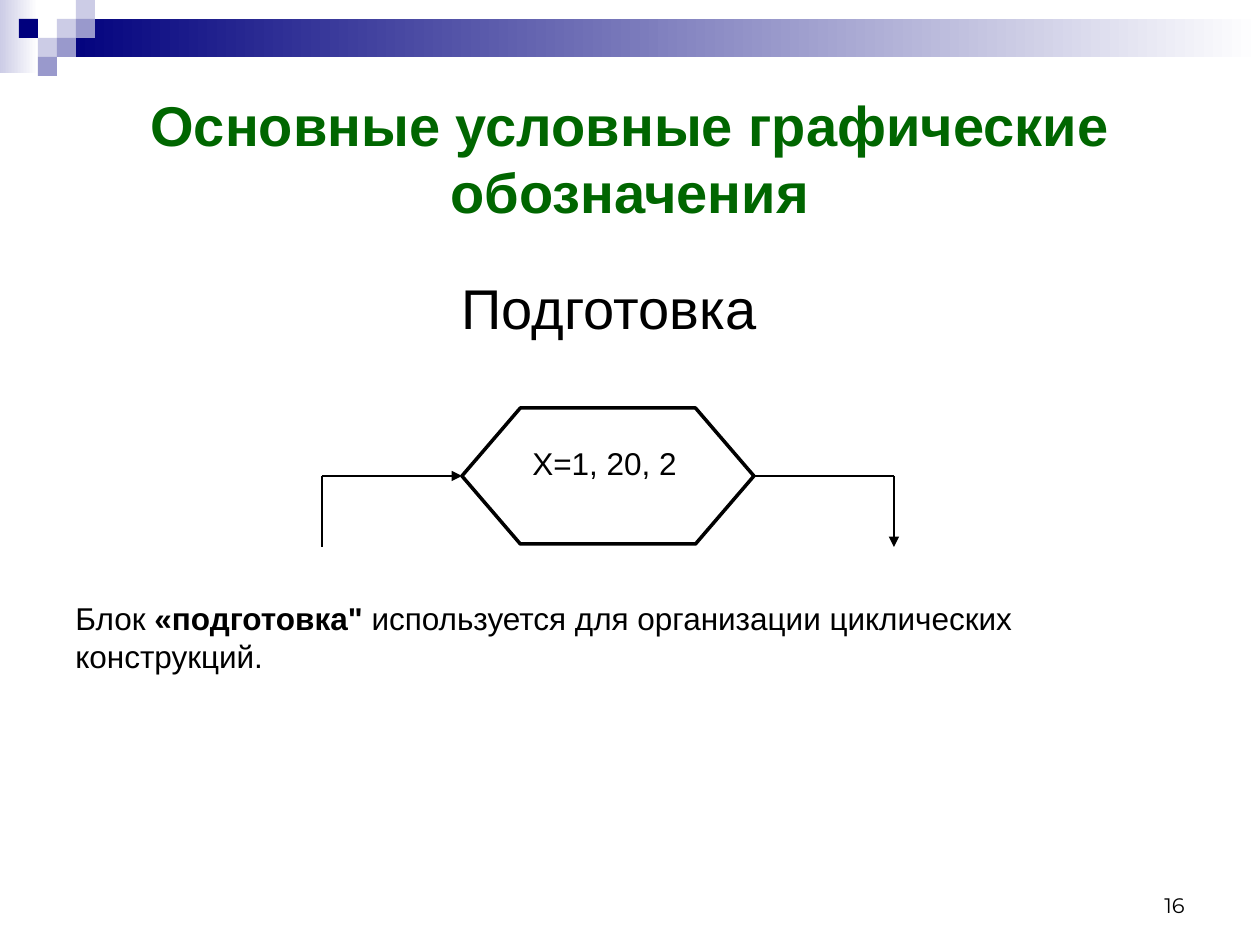
from lxml import etree
from pptx import Presentation
from pptx import util as u
from pptx.dml.color import RGBColor
from pptx.enum import shapes, text
from pptx.oxml import ns

SCALE = 914400 / 126
NAVY = RGBColor(0x00, 0x00, 0x7D)
LILAC = RGBColor(0x99, 0x99, 0xCC)
PALE = RGBColor(0xCC, 0xCC, 0xE6)
GREEN = RGBColor(0x00, 0x66, 0x00)
BLACK = RGBColor(0, 0, 0)
WHITE = RGBColor(0xFF, 0xFF, 0xFF)


def px(n):
    return u.Emu(round(n * SCALE))


def add_text(slide, box, runs, size, color=BLACK, font="Arial",
             align=text.PP_ALIGN.LEFT, anchor=text.MSO_ANCHOR.TOP):
    frame = slide.shapes.add_textbox(*map(px, box)).text_frame
    frame.word_wrap = True
    frame.vertical_anchor = anchor
    paragraph = frame.paragraphs[0]
    paragraph.alignment = align
    for words, bold in runs:
        run = paragraph.add_run()
        run.text = words
        run.font.name = font
        run.font.size = u.Pt(size)
        run.font.bold = bold
        run.font.color.rgb = color


def add_block(slide, box, color, fade=False):
    block = slide.shapes.add_shape(shapes.MSO_SHAPE.RECTANGLE, *map(px, box))
    block.shadow.inherit = False
    block.line.fill.background()
    if fade:
        block.fill.gradient()
        block.fill.gradient_angle = 0
        for stop, shade in zip(block.fill.gradient_stops, (color, WHITE)):
            stop.color.rgb = shade
    else:
        block.fill.solid()
        block.fill.fore_color.rgb = color


def add_line(slide, start, end, arrow=False):
    line = slide.shapes.add_connector(
        shapes.MSO_CONNECTOR.STRAIGHT, *map(px, start + end))
    line.line.color.rgb = BLACK
    line.line.width = u.Pt(1.5)
    if arrow:
        etree.SubElement(line.line._get_or_add_ln(), ns.qn("a:tailEnd"), type="triangle")
    etree.SubElement(line._element.spPr, ns.qn("a:effectLst"))
    return line


def draw_banner(slide, box):
    left, top, width, height = box
    cell = 19
    add_block(slide, (left, top, 2 * cell, height - 2), PALE, fade=True)
    add_block(slide, (left + 3 * cell, top + cell, width - 3 * cell, 2 * cell), NAVY, fade=True)
    checks = [(3, 1, PALE), (4, 0, PALE), (4, 1, LILAC), (2, 2, PALE),
              (1, 1, NAVY), (3, 2, LILAC), (2, 3, LILAC)]
    for column, row, color in checks:
        add_block(slide, (left + column * cell, top + row * cell, cell, cell), color)


def draw_heading(slide, box):
    add_text(slide, box, [("Основные условные графические обозначения", True)], 32, GREEN,
             align=text.PP_ALIGN.CENTER, anchor=text.MSO_ANCHOR.MIDDLE)


def draw_subheading(slide, box):
    add_text(slide, box, [("Подготовка", False)], 32, align=text.PP_ALIGN.CENTER)


def draw_flowchart(slide, box):
    left, top, width, height = box
    right, bottom, middle = left + width, top + height, top + 68
    arm = 140
    preparation = slide.shapes.add_shape(
        shapes.MSO_SHAPE.FLOWCHART_PREPARATION,
        *map(px, (left + arm, top, width - 2 * arm, 136)))
    preparation.shadow.inherit = False
    preparation.fill.solid()
    preparation.fill.fore_color.rgb = WHITE
    preparation.line.color.rgb = BLACK
    preparation.line.width = u.Pt(2)
    add_text(slide, (left + 198, top + 30, 189, 50), [("X=1, 20, 2", False)], 18)

    add_line(slide, (left, bottom), (left, middle))
    entry = add_line(slide, (left, middle), (left + arm, middle), arrow=True)
    entry.end_connect(preparation, 1)
    leaving = add_line(slide, (right - arm, middle), (right, middle))
    leaving.begin_connect(preparation, 3)
    add_line(slide, (right, middle), (right, bottom), arrow=True)


def draw_description(slide, box):
    add_text(slide, box, [
        ("Блок ", False),
        ("«подготовка\"", True),
        (" используется для организации циклических конструкций.", False),
    ], 18)


def draw_page_number(slide, box):
    add_text(slide, box, [("16", False)], 12, font="Montserrat",
             align=text.PP_ALIGN.RIGHT, anchor=text.MSO_ANCHOR.BOTTOM)


def main():
    deck = Presentation()
    deck.slide_width, deck.slide_height = px(1260), px(945)
    slide = deck.slides.add_slide(deck.slide_layouts[6])
    draw_banner(slide, (0, 0, 1260, 75))
    draw_page_number(slide, (903, 861, 294, 63))
    draw_heading(slide, (63, 63, 1134, 189))
    draw_subheading(slide, (409, 267, 400, 89))
    draw_flowchart(slide, (322, 408, 572, 139))
    draw_description(slide, (63, 593, 1134, 146))
    deck.save("out.pptx")


if __name__ == "__main__":
    main()
